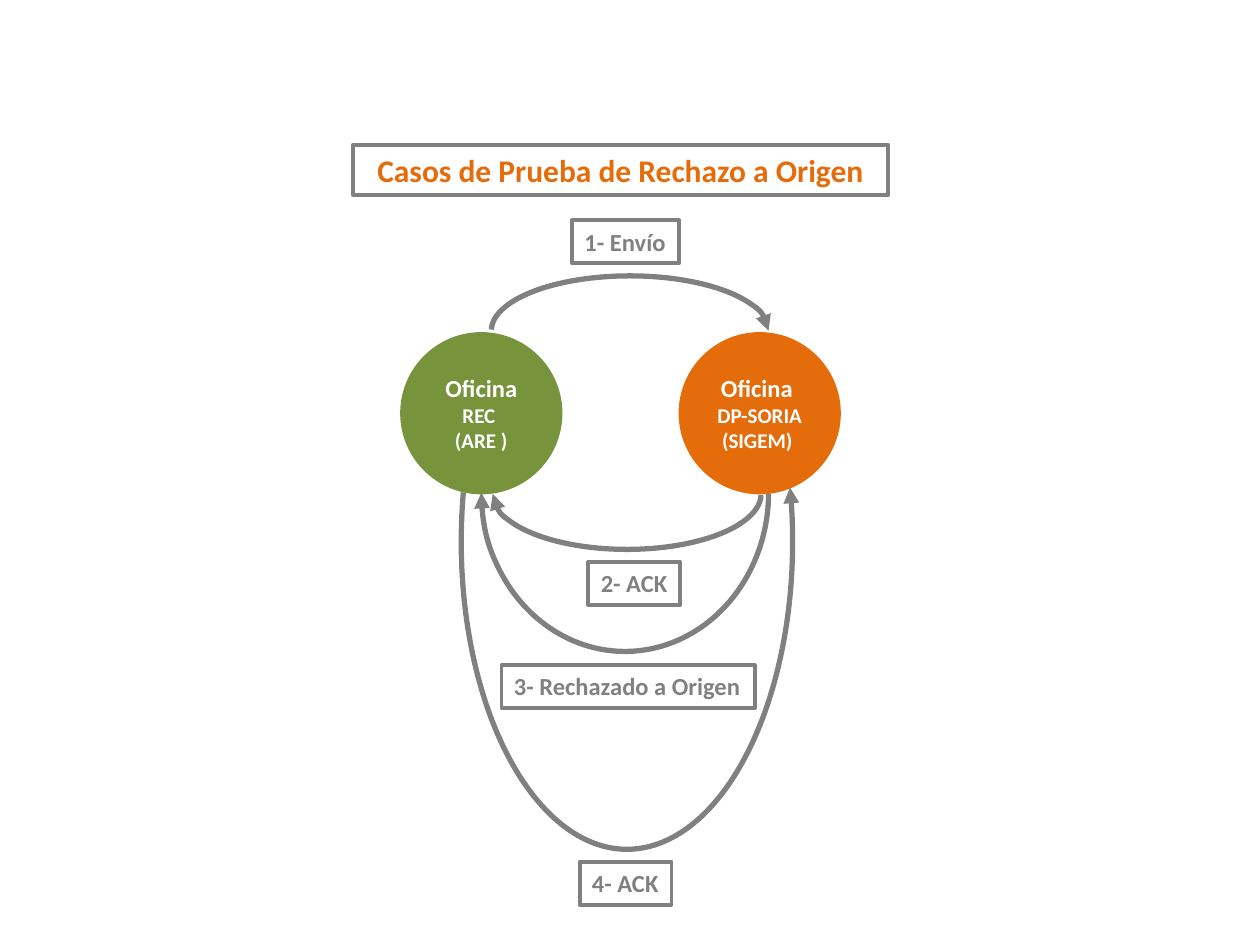
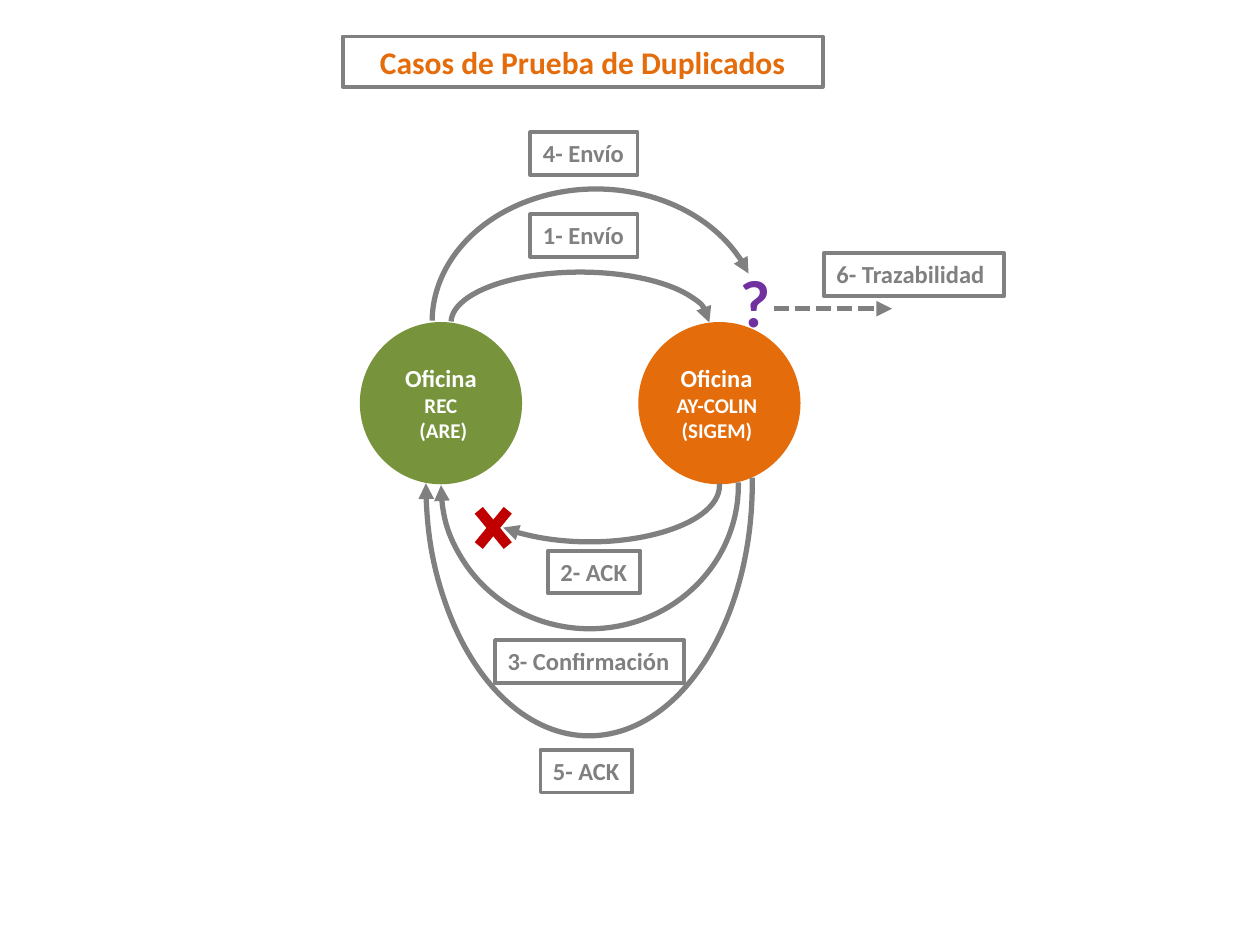
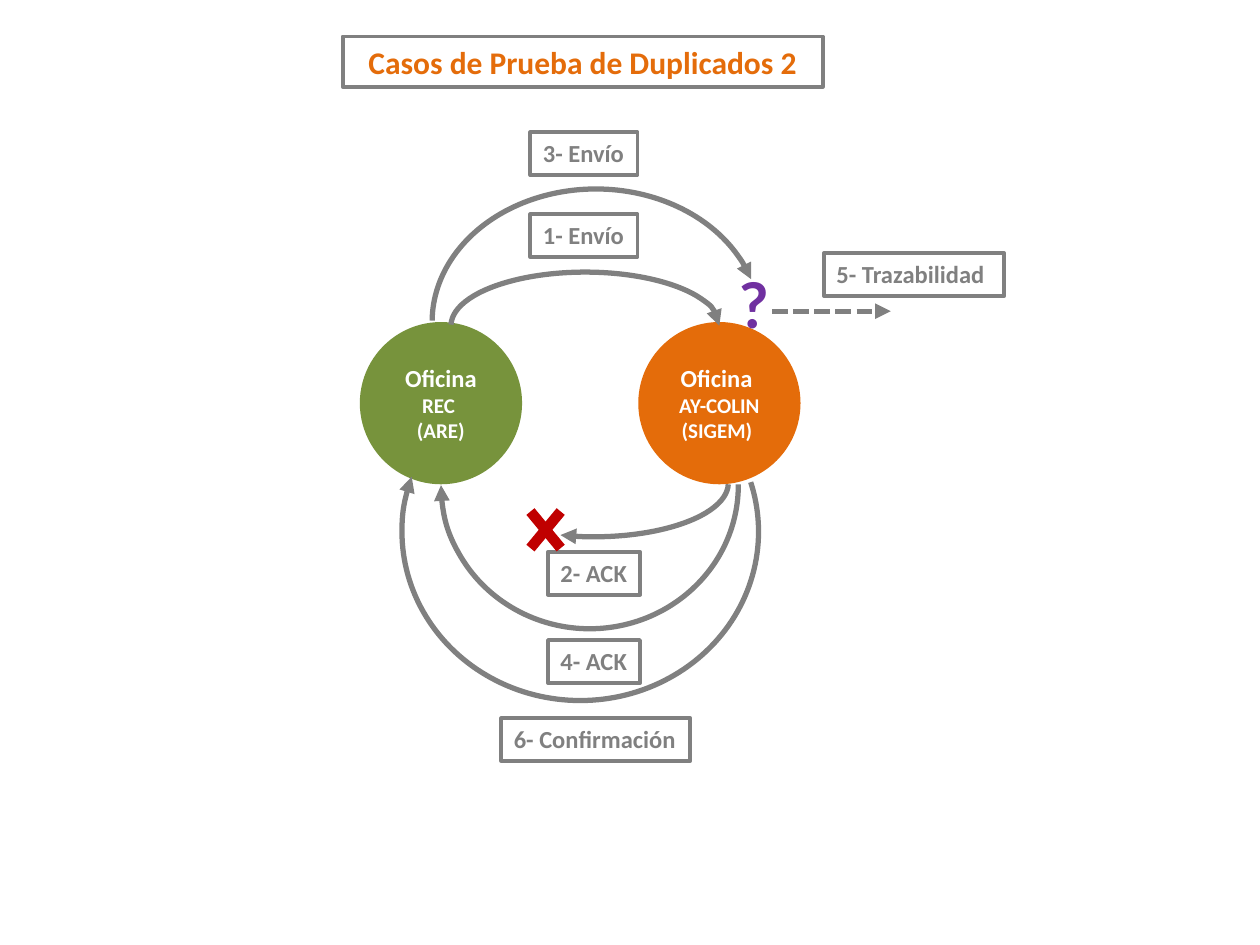
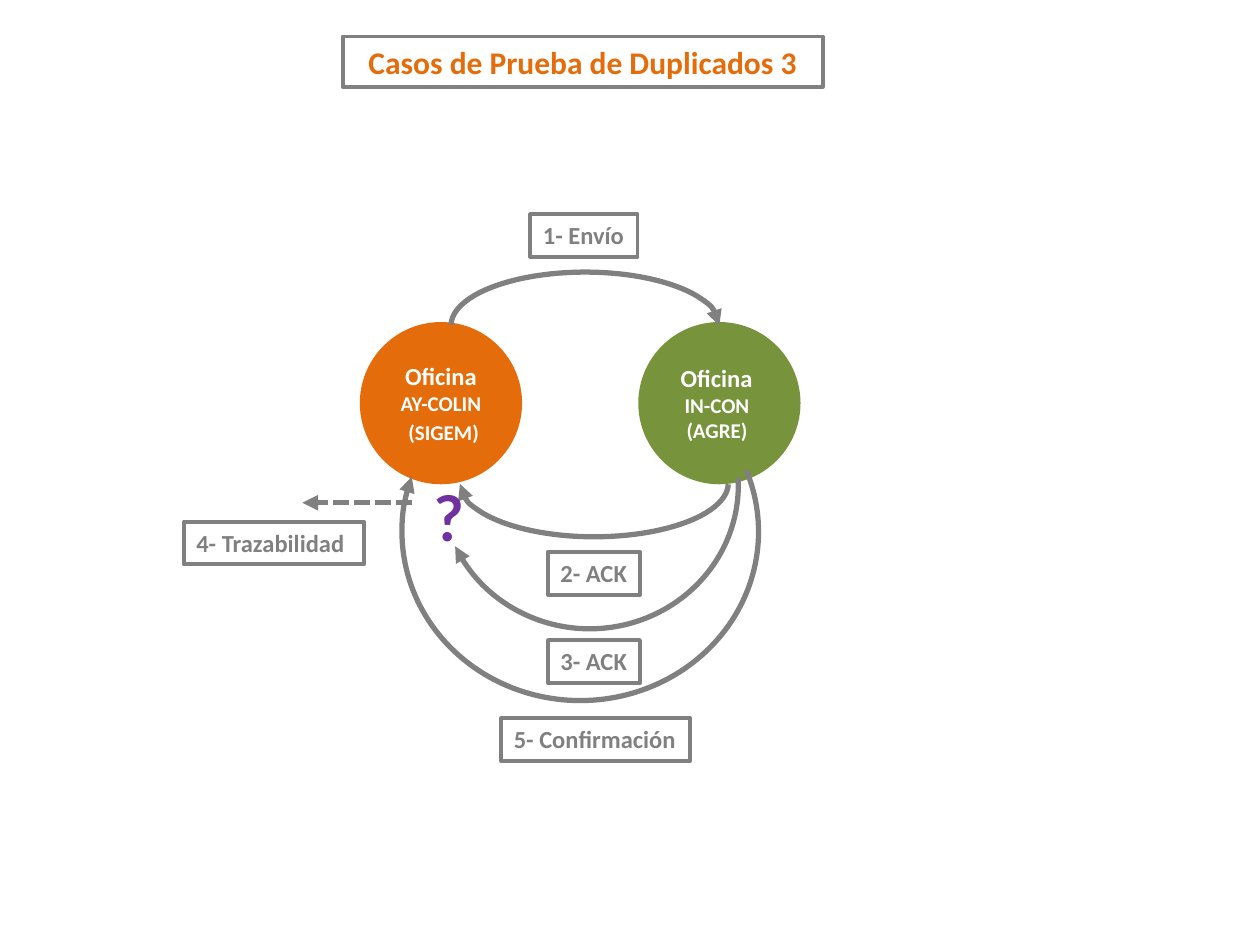
"""Builds four message-exchange diagrams between two registry offices."""
from dataclasses import dataclass

from lxml import etree
from pptx import Presentation
from pptx.dml.color import RGBColor
from pptx.enum.dml import MSO_LINE
from pptx.enum.shapes import MSO_CONNECTOR, MSO_SHAPE
from pptx.enum.text import MSO_ANCHOR, MSO_AUTO_SIZE, PP_ALIGN
from pptx.oxml.ns import qn
from pptx.util import Pt

PX = 9144
BLANK_LAYOUT = 6
ARC, OVAL, RECTANGLE = MSO_SHAPE.ARC, MSO_SHAPE.OVAL, MSO_SHAPE.RECTANGLE
STRAIGHT = MSO_CONNECTOR.STRAIGHT
DASHED = MSO_LINE.SQUARE_DOT
CENTER, LEFT = PP_ALIGN.CENTER, PP_ALIGN.LEFT
TOP, MIDDLE = MSO_ANCHOR.TOP, MSO_ANCHOR.MIDDLE
GROW = MSO_AUTO_SIZE.SHAPE_TO_FIT_TEXT


@dataclass(frozen=True)
class Theme:
    """Colours, fonts and sizes shared by all slides."""
    green: str = "77933C"
    orange: str = "E46C0A"
    gray: str = "808080"
    white: str = "FFFFFF"
    purple: str = "7030A0"
    red: str = "C00000"
    body_font: str = "Calibri"
    mark_font: str = "Lato"
    title_size: int = 18
    label_size: int = 14
    office_size: int = 12
    mark_size: int = 36
    office_line: float = 2
    frame_line: float = 2.25
    arrow_line: float = 3
    cross_line: float = 6


THEME = Theme()
BIG, SMALL = THEME.label_size, THEME.office_size
OFFICE_SIZE, OFFICE_STEP = 126, 221
LABEL_HEIGHT = 34
LABEL_WIDTHS = {"Envío": 85, "ACK": 73, "Confirmación": 150,
                "Trazabilidad": 143, "Rechazado a Origen": 201}


@dataclass(frozen=True)
class Message:
    """A numbered message: its label place and the arc that carries it."""
    step: int
    name: str
    label_at: tuple
    arc: tuple
    angles: tuple
    is_reply: bool = True
    arrow_end: str = "tailEnd"


@dataclass(frozen=True)
class Trace:
    """The traceability step: label place, dashed arrow and question mark."""
    step: int
    label_at: tuple
    arrow_from: tuple
    arrow_length: int
    mark_at: tuple


@dataclass(frozen=True)
class Case:
    """One test case slide."""
    title: str
    title_box: tuple
    diagram_at: tuple
    offices: tuple
    messages: tuple
    trace: Trace = None
    cross: tuple = None


def emu(*lengths):
    """Turn px lengths into EMU."""
    return [length * PX for length in lengths]


def color(value):
    """Return the colour for a hex string."""
    return RGBColor.from_string(value)


def shift(origin, place):
    """Move a place given relative to an origin onto the slide."""
    return origin[0] + place[0], origin[1] + place[1], *place[2:]


def set_line(outline, line_color, width):
    """Give a line its colour and width."""
    outline.color.rgb = color(line_color)
    outline.width = Pt(width)


def add_arrowhead(shape, end):
    """Put a triangle on one end of a line."""
    ln = shape._element.spPr.find(qn("a:ln"))
    etree.SubElement(ln, qn("a:" + end), type="triangle")


def add_outlined(shapes, kind, box, line_color, width, fill=None):
    """Add a shape without shadow, with an outline and an optional fill."""
    shape = shapes.add_shape(kind, *emu(*box))
    shape.shadow.inherit = False
    if fill:
        shape.fill.solid()
        shape.fill.fore_color.rgb = color(fill)
    else:
        shape.fill.background()
    set_line(shape.line, line_color, width)
    return shape


def add_line(shapes, start, end, line_color, width):
    """Add a straight connector without shadow."""
    line = shapes.add_connector(STRAIGHT, *emu(*start, *end))
    set_line(line.line, line_color, width)
    etree.SubElement(line._element.spPr, qn("a:effectLst"))
    return line


def write(shape, paragraphs, text_color, font=THEME.body_font,
          align=LEFT, anchor=TOP, wrap=False, grow=True):
    """Write paragraphs of (text, size) runs into a shape."""
    frame = shape.text_frame
    frame.word_wrap = wrap
    frame.vertical_anchor = anchor
    if grow:
        frame.auto_size = GROW
    for index, runs in enumerate(paragraphs):
        paragraph = frame.add_paragraph() if index else frame.paragraphs[0]
        paragraph.alignment = align
        for text, size in runs:
            run = paragraph.add_run()
            run.text = text
            run.font.name = font
            run.font.size = Pt(size)
            run.font.bold = True
            run.font.color.rgb = color(text_color)


def add_title(slide, box, title):
    """Draw the framed slide title in its box."""
    frame = add_outlined(slide.shapes, RECTANGLE, box, THEME.gray, THEME.frame_line)
    write(frame, [[(title, THEME.title_size)]], THEME.orange, align=CENTER, wrap=True)


def add_offices(slide, origin, offices):
    """Draw the two offices side by side."""
    for index, (fill, paragraphs) in enumerate(offices):
        box = shift(origin, (index * OFFICE_STEP, 0, OFFICE_SIZE, OFFICE_SIZE))
        office = add_outlined(slide.shapes, OVAL, box, fill, THEME.office_line, fill)
        write(office, paragraphs, THEME.white, align=CENTER, anchor=MIDDLE,
              wrap=True, grow=False)


def add_label(slide, origin, place, step, name):
    """Draw the framed label of a step."""
    box = (*shift(origin, place), LABEL_WIDTHS[name], LABEL_HEIGHT)
    label = add_outlined(slide.shapes, RECTANGLE, box, THEME.gray, THEME.frame_line)
    write(label, [[(f"{step}- {name}", THEME.label_size)]], THEME.gray)


def add_message(slide, origin, message):
    """Draw the curved arrow of a message and its label."""
    arc = add_outlined(slide.shapes, ARC, shift(origin, message.arc),
                       THEME.gray, THEME.arrow_line)
    for index, degrees in enumerate(message.angles):
        arc.adjustments[index] = degrees * 0.6
    arc.rotation = 180 if message.is_reply else 0
    add_arrowhead(arc, message.arrow_end)
    add_label(slide, origin, message.label_at, message.step, message.name)


def add_trace(slide, origin, trace):
    """Draw the dashed arrow, its label and the question mark."""
    x, y = shift(origin, trace.arrow_from)
    arrow = add_line(slide.shapes, (x, y), (x + trace.arrow_length, y),
                     THEME.gray, THEME.arrow_line)
    arrow.line.dash_style = DASHED
    add_arrowhead(arrow, "tailEnd")
    add_label(slide, origin, trace.label_at, trace.step, "Trazabilidad")
    mark = slide.shapes.add_textbox(*emu(*shift(origin, trace.mark_at), 40, 71))
    write(mark, [[("?", THEME.mark_size)]], THEME.purple, THEME.mark_font)


def add_cross(slide, box):
    """Draw the red cross of a lost message in its box."""
    x, y, width, height = box
    strokes = slide.shapes.add_group_shape().shapes
    for start, end in ((y + height, y), (y, y + height)):
        add_line(strokes, (x, start), (x + width, end), THEME.red, THEME.cross_line)


def add_case(deck, case):
    """Add the slide of one test case."""
    slide = deck.slides.add_slide(deck.slide_layouts[BLANK_LAYOUT])
    origin = case.diagram_at
    add_offices(slide, origin, case.offices)
    for message in case.messages:
        add_message(slide, origin, message)
    add_title(slide, case.title_box, case.title)
    if case.trace:
        add_trace(slide, origin, case.trace)
    if case.cross:
        add_cross(slide, shift(origin, case.cross))


def rec(name, system):
    """Return the green office whose name shares the first paragraph."""
    return THEME.green, [[("Oficina ", BIG), (name, SMALL)], [(system, SMALL)]]


def office(fill, name, system):
    """Return an office with one paragraph for each line."""
    return fill, [[("Oficina ", BIG)], [(name, SMALL)], [(system, SMALL)]]


HALF = (180.46, 0)
SEND_AT, OUTER_SEND_AT = (134, -87), (134, -152)
SEND_ARC, OUTER_SEND_ARC = (71, -41, 213, 85), (56, -107, 260, 211)
REPLY_AT, SECOND_REPLY_AT, CONFIRM_AT = (148, 181), (148, 251), (111, 313)
REPLY_ARC = (78, 84, 213, 85)
SECOND_REPLY_ARC = (63, 14, 236, 228)
CONFIRM_ARC = (32, 31, 283, 268)
TRACE_AT = (367, -56)
DUPLICATE_TITLE, DUPLICATE_DIAGRAM = (272, 29, 381, 40), (287, 257)
SEND = Message(1, "Envío", SEND_AT, SEND_ARC, HALF, is_reply=False)

CASES = (
    Case("Casos de Prueba de Rechazo a Origen", (280, 115, 425, 40), (319, 265),
         (rec("REC ", "(ARE )"), office(THEME.orange, "DP-SORIA", "(SIGEM) ")),
         (Message(1, "Envío", (135, -90), (71, -46, 220, 87), HALF, is_reply=False),
          Message(2, "ACK", REPLY_AT, (72, 83, 213, 88), HALF),
          Message(3, "Rechazado a Origen", (79, 263), (63, 0, 228, 252), HALF),
          Message(4, "ACK", (141, 419), (47, -79, 263, 488), (161.56, 16.83),
                  arrow_end="headEnd"))),
    Case("Casos de Prueba de Duplicados", DUPLICATE_TITLE, DUPLICATE_DIAGRAM,
         (rec("REC", " (ARE)"), office(THEME.orange, "AY-COLIN ", "(SIGEM) ")),
         (Message(1, "Envío", SEND_AT, (71, -41, 205, 80), HALF, is_reply=False),
          Message(2, "ACK", (148, 180), (78, 84, 206, 89), (179.03, 334.18)),
          Message(3, "Confirmación", (106, 251), SECOND_REPLY_ARC, (178.93, 0)),
          Message(4, "Envío", OUTER_SEND_AT, OUTER_SEND_ARC, (180.46, 342.42),
                  is_reply=False),
          Message(5, "ACK", (142, 338), (51, -74, 259, 401), (178, 0))),
         Trace(6, TRACE_AT, (327, -12), 94, (291, -52)),
         (93, 148, 23, 28)),
    Case("Casos de Prueba de Duplicados 2", DUPLICATE_TITLE, DUPLICATE_DIAGRAM,
         (rec("REC ", "(ARE)"), office(THEME.orange, "AY-COLIN", "(SIGEM) ")),
         (SEND,
          Message(2, "ACK", REPLY_AT, REPLY_ARC, (180.46, 302.99)),
          Message(3, "Envío", OUTER_SEND_AT, OUTER_SEND_ARC, (180.46, 344.6),
                  is_reply=False),
          Message(4, "ACK", SECOND_REPLY_AT, SECOND_REPLY_ARC, (179.66, 0)),
          Message(6, "Confirmación", CONFIRM_AT, CONFIRM_ARC, (163.79, 18.07))),
         Trace(5, TRACE_AT, (326, -10), 94, (290, -51)),
         (134, 149, 24, 29)),
    Case("Casos de Prueba de Duplicados 3", DUPLICATE_TITLE, DUPLICATE_DIAGRAM,
         ((THEME.orange, [[("Oficina ", BIG), ("AY-COLIN", SMALL)],
                          [(" ", BIG), ("(SIGEM)", SMALL)]]),
          office(THEME.green, "IN-CON ", "(AGRE) ")),
         (SEND,
          Message(2, "ACK", REPLY_AT, REPLY_ARC, (180.46, 359.74)),
          Message(3, "ACK", SECOND_REPLY_AT, SECOND_REPLY_ARC, (177.09, 335.58)),
          Message(5, "Confirmación", CONFIRM_AT, CONFIRM_ARC, (159.67, 18.07))),
         Trace(4, (-141, 157), (40, 142), -87, (48, 118))),
)


def main():
    """Build the deck and save it."""
    deck = Presentation()
    deck.slide_width, deck.slide_height = emu(1000, 750)
    for case in CASES:
        add_case(deck, case)
    deck.save("out.pptx")


if __name__ == "__main__":
    main()
